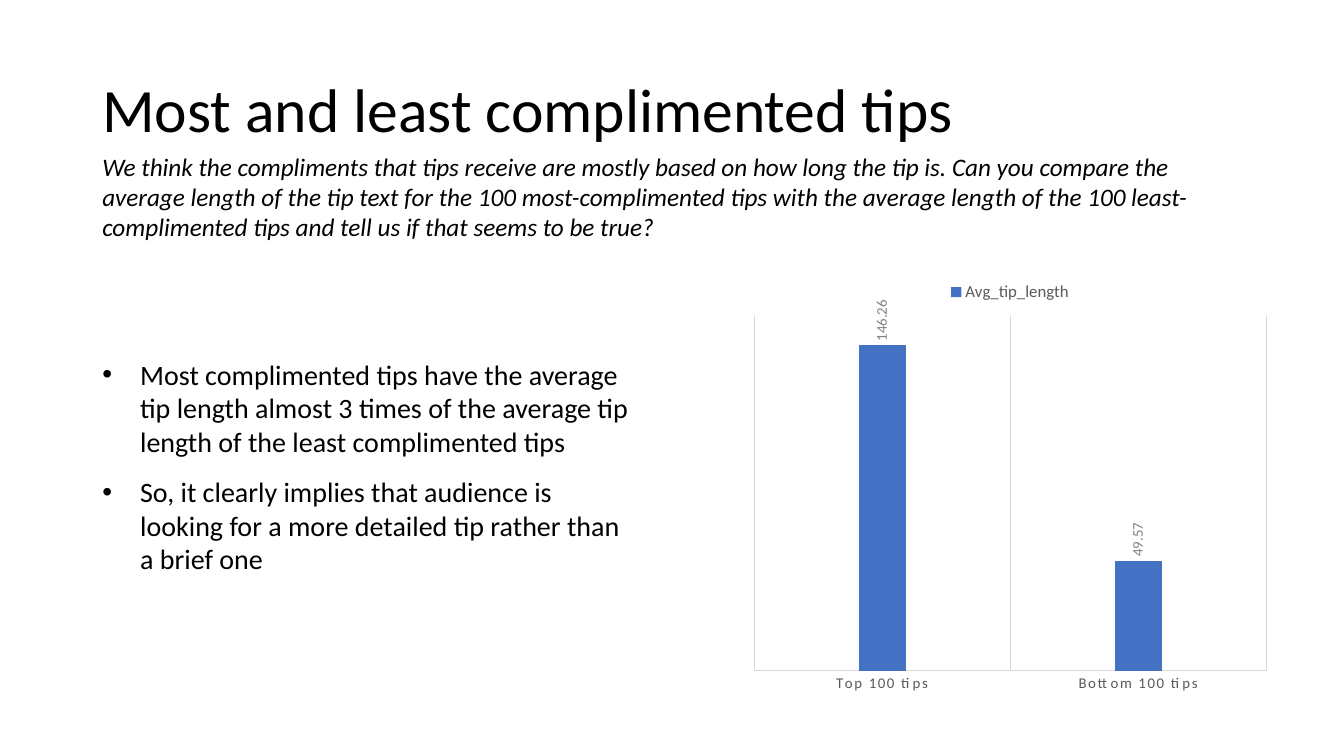
from lxml import etree
from pptx import Presentation
from pptx.chart.data import CategoryChartData
from pptx.dml.color import RGBColor
from pptx.enum.chart import XL_CHART_TYPE, XL_LABEL_POSITION, XL_LEGEND_POSITION, XL_TICK_MARK
from pptx.enum.text import MSO_ANCHOR
from pptx.oxml.ns import qn
from pptx.util import Emu, Pt

COLUMN = XL_CHART_TYPE.COLUMN_CLUSTERED
OUTSIDE_END = XL_LABEL_POSITION.OUTSIDE_END
LEGEND_TOP = XL_LEGEND_POSITION.TOP
NO_TICK = XL_TICK_MARK.NONE
TOP, MIDDLE = MSO_ANCHOR.TOP, MSO_ANCHOR.MIDDLE
EMU_PER_PX = 9525
COLORS = {"text": "000000", "axis": "595959", "label": "808080",
          "grid": "D9D9D9", "bar": "4472C4"}


class TipsSlide:
    """Holds the slide, its font and colours, and draws each kind of element."""

    def __init__(self, presentation):
        self.font_name = "Calibri"
        self.slide = presentation.slides.add_slide(presentation.slide_layouts[6])

    def color(self, name):
        return RGBColor.from_string(COLORS[name])

    def style_font(self, font, size, color):
        for key, value in {"name": self.font_name, "size": Pt(size)}.items():
            setattr(font, key, value)
        font.color.rgb = self.color(color)

    def style_line(self, line, color, width):
        line.color.rgb = self.color(color)
        line.width = Pt(width)

    def add_bullet(self, paragraph, indent):
        properties = paragraph._p.get_or_add_pPr()
        properties.set("marL", str(indent * EMU_PER_PX))
        properties.set("indent", str(-indent * EMU_PER_PX))
        etree.SubElement(properties, qn("a:buFont"), typeface="Arial")
        etree.SubElement(properties, qn("a:buChar"), char="•")

    def text(self, box, lines, size, anchor=TOP, italic=False, margin_top=5,
             bullet_indent=0, **spacing):
        shape = self.slide.shapes.add_textbox(*(Emu(px * EMU_PER_PX) for px in box))
        frame = shape.text_frame
        frame_format = {"word_wrap": True, "vertical_anchor": anchor,
                        "margin_top": Emu(margin_top * EMU_PER_PX)}
        for key, value in frame_format.items():
            setattr(frame, key, value)
        for index, line in enumerate(lines):
            paragraph = frame.add_paragraph() if index else frame.paragraphs[0]
            for key, value in spacing.items():
                setattr(paragraph, key, value)
            if bullet_indent:
                self.add_bullet(paragraph, bullet_indent)
            run = paragraph.add_run()
            run.text = line
            run.font.italic = italic
            self.style_font(run.font, size, "text")

    def column_chart(self, box, name, values, maximum):
        data = CategoryChartData(number_format="0.00")
        data.categories = list(values)
        data.add_series(name, list(values.values()))
        frame = self.slide.shapes.add_chart(
            COLUMN, *(Emu(px * EMU_PER_PX) for px in box), data)
        chart = frame.chart
        self.style_font(chart.font, 10, "text")
        chart.has_title = False
        chart.has_legend = True
        chart.legend.position = LEGEND_TOP
        chart.legend.include_in_layout = False
        self.style_font(chart.legend.font, 12, "axis")
        self.style_axes(chart, maximum)
        self.style_columns(chart.plots[0])

    def style_axes(self, chart, maximum):
        value_format = {"visible": False, "has_major_gridlines": False,
                        "minimum_scale": 0, "maximum_scale": maximum}
        category_format = {"has_major_gridlines": True, "major_tick_mark": NO_TICK,
                           "minor_tick_mark": NO_TICK}
        for axis, axis_format in ((chart.value_axis, value_format),
                                  (chart.category_axis, category_format)):
            for key, value in axis_format.items():
                setattr(axis, key, value)
        axis = chart.category_axis
        self.style_line(axis.format.line, "grid", 0.75)
        self.style_line(axis.major_gridlines.format.line, "grid", 0.75)
        font = axis.tick_labels.font
        self.style_font(font, 10.6, "axis")
        font._rPr.set("spc", "120")

    def style_columns(self, plot):
        plot_format = {"gap_width": 444, "overlap": -90, "vary_by_categories": False}
        for key, value in plot_format.items():
            setattr(plot, key, value)
        series = plot.series[0]
        series.format.fill.solid()
        series.format.fill.fore_color.rgb = self.color("bar")
        series.format.line.fill.background()
        labels = series.data_labels
        labels.show_value = True
        labels.position = OUTSIDE_END
        self.style_font(labels.font, 10.6, "label")
        body = labels._element.find(qn("c:txPr")).find(qn("a:bodyPr"))
        body.set("rot", "-5400000")
        body.set("vert", "horz")


def main():
    presentation = Presentation()
    presentation.slide_width = Emu(1280 * EMU_PER_PX)
    presentation.slide_height = Emu(720 * EMU_PER_PX)
    tips = TipsSlide(presentation)
    tips.text((88, 38, 1104, 139), ["Most and least complimented tips"], 44,
              anchor=MIDDLE, line_spacing=0.9)
    tips.text((88, 139, 1104, 97), [
        "We think the compliments that tips receive are mostly based on how long "
        "the tip is. Can you compare the average length of the tip text for the "
        "100 most-complimented tips with the average length of the 100 "
        "least-complimented tips and tell us if that seems to be true?"],
        18, italic=True)
    tips.text((88, 286, 530, 298), [
        "Most complimented tips have the average tip length almost 3 times of the "
        "average tip length of the least complimented tips",
        "So, it clearly implies that audience is looking for a more detailed tip "
        "rather than a brief one"],
        20, margin_top=54, bullet_indent=36, space_after=Pt(12))
    tips.column_chart((708, 258, 508, 410), "Avg_tip_length",
                      {"Top 100 tips": 146.26, "Bottom 100 tips": 49.57}, 160)
    presentation.save("out.pptx")


if __name__ == "__main__":
    main()
